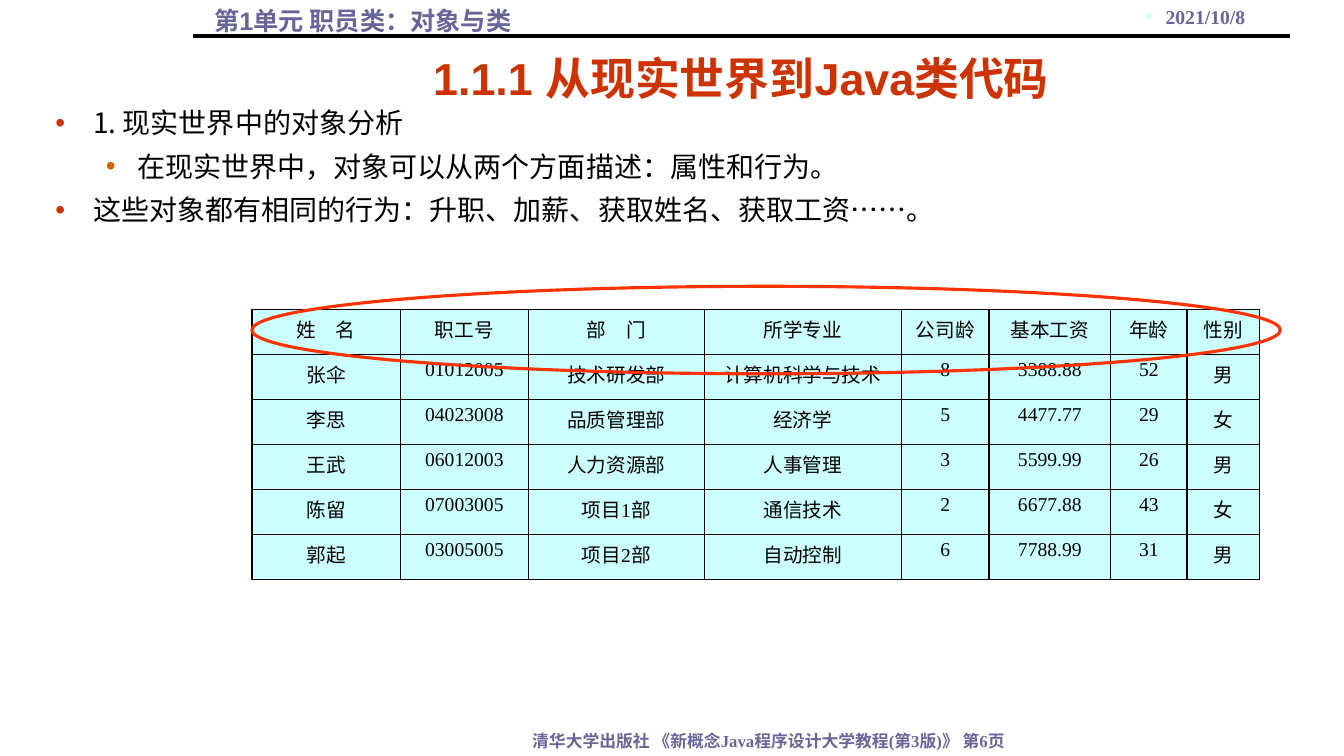
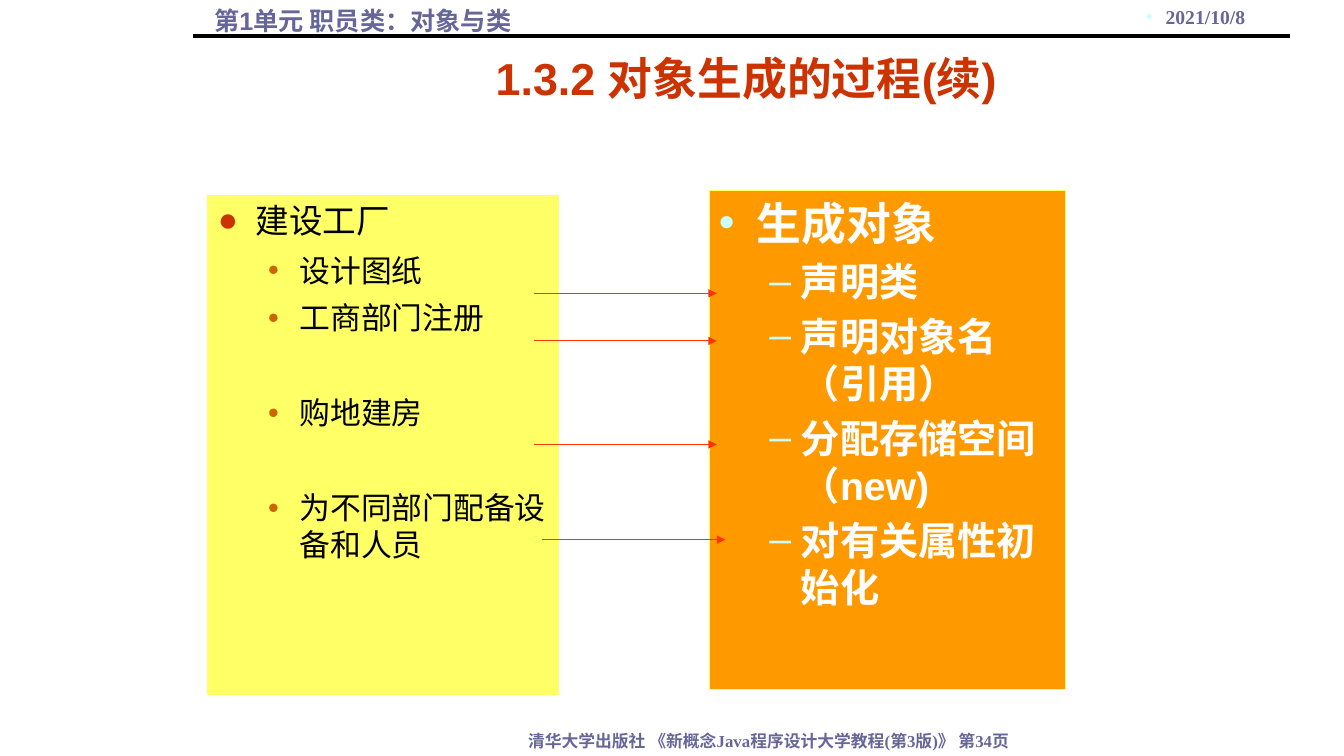
from pptx import Presentation
from pptx.dml.color import RGBColor
from pptx.enum.shapes import MSO_CONNECTOR, MSO_SHAPE
from pptx.enum.text import MSO_ANCHOR, PP_ALIGN
from pptx.oxml.ns import qn
from pptx.util import Pt
from lxml.etree import SubElement, Element

BLACK = RGBColor(0x00, 0x00, 0x00)
WHITE = RGBColor(0xFF, 0xFF, 0xFF)
SLATE = RGBColor(0x66, 0x66, 0x99)
BRICK = RGBColor(0xCC, 0x33, 0x00)
BROWN = RGBColor(0xCC, 0x66, 0x00)
SCARLET = RGBColor(0xFF, 0x33, 0x00)
YELLOW = RGBColor(0xFF, 0xFF, 0x66)
ORANGE = RGBColor(0xFF, 0x99, 0x00)
ICE = RGBColor(0xCC, 0xFF, 0xFF)

SANS, SERIF, CJK = "Arial", "Times New Roman", "Noto Sans CJK SC"

HEADER = "第1单元 职员类：对象与类"
FOOTER = "清华大学出版社 《新概念Java程序设计大学教程(第3版)》 第{}页 "
DATE = "2021/10/8"

# Each outline item: level, text, and optionally a wider space before
ANALYSIS = [
    (0, "1. 现实世界中的对象分析"),
    (1, "在现实世界中，对象可以从两个方面描述：属性和行为。"),
    (0, "这些对象都有相同的行为：升职、加薪、获取姓名、获取工资……。"),
]
STAFF = [
    ("姓　名", "职工号", "部　门", "所学专业", "公司龄", "基本工资", "年龄", "性别"),
    ("张伞", "01012005", "技术研发部", "计算机科学与技术", "8", "3388.88", "52", "男"),
    ("李思", "04023008", "品质管理部", "经济学", "5", "4477.77", "29", "女"),
    ("王武", "06012003", "人力资源部", "人事管理", "3", "5599.99", "26", "男"),
    ("陈留", "07003005", "项目1部", "通信技术", "2", "6677.88", "43", "女"),
    ("郭起", "03005005", "项目2部", "自动控制", "6", "7788.99", "31", "男"),
]
STAFF_WIDTHS = [106, 91.5, 125.5, 141, 62.5, 87, 54.5, 52]
STAFF_ROW = 32.15

WIDE_GAP = 41.5
FACTORY = [
    (0, "建设工厂"),
    (1, "设计图纸"),
    (1, "工商部门注册"),
    (1, "购地建房", WIDE_GAP),
    (1, "为不同部门配备设备和人员", WIDE_GAP),
]
CREATION = [
    (0, "生成对象"),
    (1, "声明类"),
    (1, "声明对象名（引用）"),
    (1, "分配存储空间（new)"),
    (1, "对有关属性初始化"),
]
ARROWS = [(381.5, 209.5), (381.5, 243.5), (381.5, 317.5), (387.5, 385.5)]
ARROW_LENGTH = 130.5
INDENTS = [(27, 27), (58.5, 22.5)]  # left margin and hanging part, by level


def write(para, text, size, color, font=SANS, bold=False, align=None, before=None):
    if align is not None:
        para.alignment = align
    if before:
        para.space_before = Pt(before)
    span = para.add_run()
    span.text = text
    span.font.size = Pt(size)
    span.font.bold = bold
    span.font.name = font
    span.font.color.rgb = color
    SubElement(span.font._element, qn("a:ea")).set("typeface", CJK)


def add_bullet(para, char, color, margin, hang):
    props = para._p.get_or_add_pPr()
    props.set("marL", str(Pt(margin)))
    props.set("indent", str(-Pt(hang)))
    fill = SubElement(props, qn("a:buClr"))
    SubElement(fill, qn("a:srgbClr")).set("val", str(color))
    SubElement(props, qn("a:buFont")).set("typeface", SANS)
    SubElement(props, qn("a:buChar")).set("char", char)


def write_outline(frame, items, sizes, bullets, spacing, **style):
    """Fill a frame with bulleted items; spacing is a share of the text size."""
    frame.word_wrap = True
    frame.vertical_anchor = MSO_ANCHOR.TOP
    for number, (level, text, *gap) in enumerate(items):
        para = frame.add_paragraph() if number else frame.paragraphs[0]
        para.level = level
        add_bullet(para, *bullets[level], *INDENTS[level])
        before = gap[0] if gap else sizes[level] * spacing
        write(para, text, sizes[level], before=before if number else None,
              align=PP_ALIGN.LEFT, **style)


def add_box(page, left, top, width, height):
    box = page.shapes.add_textbox(Pt(left), Pt(top), Pt(width), Pt(height))
    box.text_frame.word_wrap = True
    return box


def add_line(page, start, end, color, width, arrow=False):
    line = page.shapes.add_connector(MSO_CONNECTOR.STRAIGHT, *map(Pt, start + end))
    line.line.color.rgb = color
    line.line.width = Pt(width)
    if arrow:
        SubElement(line.line._get_or_add_ln(), qn("a:tailEnd")).set("type", "triangle")
    SubElement(line._element.spPr, qn("a:effectLst"))


def add_preset(page, kind, place, line_color, line_width, fill=None):
    shape = page.shapes.add_shape(kind, *map(Pt, place))
    shape.shadow.inherit = False
    shape.line.color.rgb = line_color
    shape.line.width = Pt(line_width)
    if fill is None:
        shape.fill.background()
    else:
        shape.fill.solid()
        shape.fill.fore_color.rgb = fill
    return shape


def add_page(deck, title, number):
    """Add a slide with the shared title, header, rule, date and footer."""
    page = deck.slides.add_slide(deck.slide_layouts[5])
    footer = add_box(page, 301.5, 518.5, 497.5, 21.5)
    write(footer.text_frame.paragraphs[0], FOOTER.format(number), 12, SLATE,
          font=SERIF, bold=True, align=PP_ALIGN.CENTER)
    header = add_box(page, 146, 0, 340.5, 29)
    write(header.text_frame.paragraphs[0], HEADER, 18, SLATE, bold=True)
    add_line(page, (138, 26), (921.5, 26), BLACK, 3)

    heading = page.shapes.title
    heading.left, heading.top, heading.width, heading.height = map(Pt, (131, 30, 804, 48.5))
    heading.text_frame.vertical_anchor = MSO_ANCHOR.BOTTOM
    write(heading.text_frame.paragraphs[0], title, 32, BRICK, bold=True,
          align=PP_ALIGN.CENTER)

    date = add_box(page, 758, 0, 202, 22)
    date.text_frame.margin_right = Pt(17)
    para = date.text_frame.paragraphs[0]
    add_bullet(para, "•", ICE, 14, 14)
    write(para, DATE, 14, SLATE, font=SERIF, bold=True, align=PP_ALIGN.CENTER)
    return page


def add_borders(cell):
    props = cell._tc.get_or_add_tcPr()
    for place, side in enumerate(("lnL", "lnR", "lnT", "lnB")):
        border = Element(qn("a:" + side), w=str(Pt(1)))
        fill = SubElement(border, qn("a:solidFill"))
        SubElement(fill, qn("a:srgbClr")).set("val", str(BLACK))
        props.insert(place, border)


def add_staff_table(page):
    frame = page.shapes.add_table(
        len(STAFF), len(STAFF_WIDTHS), Pt(180), Pt(221),
        Pt(sum(STAFF_WIDTHS)), Pt(STAFF_ROW * len(STAFF)))
    table = frame.table
    table.first_row = table.horz_banding = False
    for column, width in zip(table.columns, STAFF_WIDTHS):
        column.width = Pt(width)
    for row, values in zip(table.rows, STAFF):
        row.height = Pt(STAFF_ROW)
        for cell, value in zip(row.cells, values):
            cell.fill.solid()
            cell.fill.fore_color.rgb = ICE
            add_borders(cell)
            write(cell.text_frame.paragraphs[0], value, 14, BLACK, font=SERIF,
                  align=PP_ALIGN.CENTER)


def build_analysis(deck):
    page = add_page(deck, "1.1.1 从现实世界到Java类代码 ", 6)
    body = add_box(page, 32.5, 72, 895, 384)
    write_outline(body.text_frame, ANALYSIS, (20, 20), (("•", BRICK), ("•", BROWN)),
                  0.35, font=CJK, color=BLACK)
    add_staff_table(page)
    add_preset(page, MSO_SHAPE.OVAL, (180, 204.5, 734.5, 62.5), SCARLET, 2.25)


def build_creation(deck):
    page = add_page(deck, "1.3.2 对象生成的过程(续)", 34)
    factory = add_preset(page, MSO_SHAPE.RECTANGLE, (148.5, 139.5, 250.5, 356.5),
                         YELLOW, 0.75, YELLOW)
    write_outline(factory.text_frame, FACTORY, (24, 22), (("●", BRICK), ("•", BROWN)),
                  0.35, font=CJK, color=BLACK)
    creation = add_preset(page, MSO_SHAPE.RECTANGLE, (506.5, 136, 254.5, 356.5),
                          YELLOW, 0.75, ORANGE)
    write_outline(creation.text_frame, CREATION, (32, 28), (("•", ICE), ("–", ICE)),
                  0.2, color=WHITE, bold=True)
    for left, top in ARROWS:
        add_line(page, (left, top), (left + ARROW_LENGTH, top), SCARLET, 0.75, arrow=True)


def main():
    deck = Presentation()
    deck.slide_width, deck.slide_height = Pt(960), Pt(540)
    build_analysis(deck)
    build_creation(deck)
    deck.save("out.pptx")


if __name__ == "__main__":
    main()
